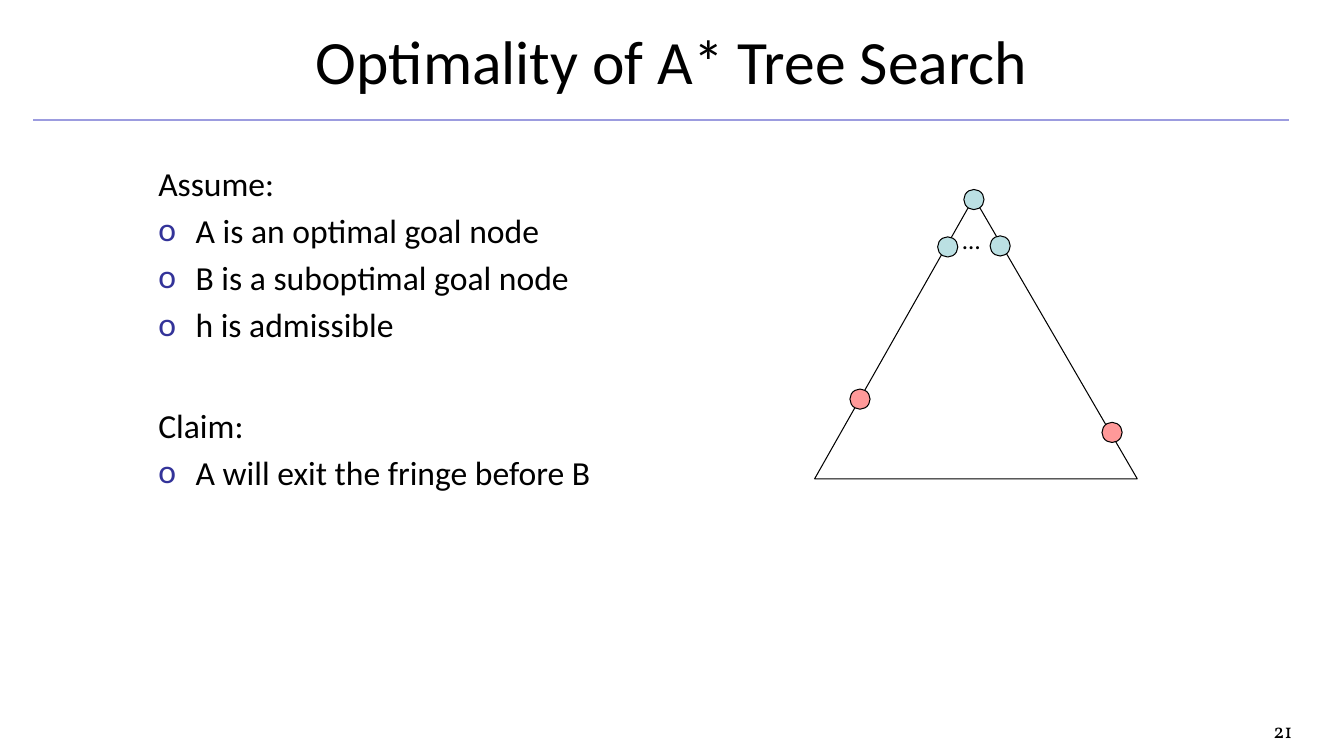
from dataclasses import dataclass

from lxml.etree import SubElement
from pptx import Presentation
from pptx.dml.color import RGBColor
from pptx.enum.shapes import MSO_CONNECTOR, MSO_SHAPE
from pptx.enum.text import MSO_ANCHOR as Anchor, MSO_AUTO_SIZE as AutoSize, PP_ALIGN as Align
from pptx.oxml.ns import qn
from pptx.util import Emu, Pt

EMU_PER_PX = 9144  # 100 px to the inch


@dataclass(frozen=True)
class Theme:
    font: str = "Calibri"
    number_font: str = "Vollkorn"
    ink: str = "000000"
    bullet: str = "333399"
    rule: str = "9C9CDF"
    inner_node: str = "BBE0E3"
    goal_node: str = "FF9999"
    title_size: float = 44
    body_size: float = 24
    dots_size: float = 18
    number_size: float = 14.7
    outline: float = 0.75


@dataclass(frozen=True)
class Box:
    left: int
    top: int
    width: int
    height: int


@dataclass(frozen=True)
class Node:
    left: int
    top: int
    color: str


@dataclass(frozen=True)
class Line:
    text: str
    bulleted: bool = True
    space_before: float = 4.8


THEME = Theme()
NODE_SIZE = 20
HANGING_INDENT = 37
TRIANGLE = ((808, 475), (1128, 475), (966, 196))
NODES = (
    Node(930, 235, THEME.inner_node),
    Node(982, 234, THEME.inner_node),
    Node(1093, 419, THEME.goal_node),
    Node(843, 386, THEME.goal_node),
    Node(956, 188, THEME.inner_node),
)
BODY = (
    Line("Assume:", bulleted=False, space_before=0),
    Line("A is an optimal goal node"),
    Line("B is a suboptimal goal node"),
    Line("h is admissible"),
    Line("Claim:", bulleted=False, space_before=43),
    Line("A will exit the fringe before B"),
)


def px(value: int) -> Emu:
    return Emu(value * EMU_PER_PX)


def rgb(color: str) -> RGBColor:
    return RGBColor.from_string(color)


def place(shape, box: Box) -> None:
    shape.left, shape.top = px(box.left), px(box.top)
    shape.width, shape.height = px(box.width), px(box.height)


def set_frame(frame, side: int = 7, edge: int = 4, anchor=Anchor.TOP) -> None:
    frame.word_wrap = True
    frame.auto_size = AutoSize.NONE
    frame.vertical_anchor = anchor
    frame.margin_left = frame.margin_right = px(side)
    frame.margin_top = frame.margin_bottom = px(edge)


def format_paragraph(paragraph, size: float, font: str = THEME.font, align=Align.LEFT) -> None:
    paragraph.alignment = align
    paragraph.font.name = font
    paragraph.font.size = Pt(size)
    paragraph.font.color.rgb = rgb(THEME.ink)


def add_bullet(paragraph) -> None:
    properties = paragraph._p.get_or_add_pPr()
    properties.set("marL", str(px(HANGING_INDENT)))
    properties.set("indent", str(-px(HANGING_INDENT)))
    color = SubElement(properties, qn("a:buClr"))
    SubElement(color, qn("a:srgbClr"), val=THEME.bullet)
    SubElement(properties, qn("a:buFont"), typeface=THEME.font)
    SubElement(properties, qn("a:buChar"), char="o")


def set_title(slide, text: str) -> None:
    title = slide.shapes.title
    place(title, Box(0, -3, 1333, 125))
    set_frame(title.text_frame, anchor=Anchor.MIDDLE)
    title.text_frame.text = text
    format_paragraph(title.text_frame.paragraphs[0], THEME.title_size, align=Align.CENTER)


def add_rule(slide) -> None:
    rule = slide.shapes.add_connector(MSO_CONNECTOR.STRAIGHT, px(33), px(119), px(1278), px(119))
    rule.line.color.rgb = rgb(THEME.rule)
    rule.line.width = Pt(1)
    SubElement(rule._element.spPr, qn("a:effectLst"))


def add_text_box(slide, box: Box):
    shape = slide.shapes.add_textbox(px(box.left), px(box.top), px(box.width), px(box.height))
    set_frame(shape.text_frame)
    return shape.text_frame


def add_body(slide, lines: tuple[Line, ...]) -> None:
    frame = add_text_box(slide, Box(150, 158, 550, 495))
    for index, line in enumerate(lines):
        paragraph = frame.add_paragraph() if index else frame.paragraphs[0]
        paragraph.text = line.text
        if line.space_before:
            paragraph.space_before = Pt(line.space_before)
        if line.bulleted:
            add_bullet(paragraph)
        format_paragraph(paragraph, THEME.body_size)


def set_outline(shape) -> None:
    shape.shadow.inherit = False
    shape.line.color.rgb = rgb(THEME.ink)
    shape.line.width = Pt(THEME.outline)


def add_triangle(slide) -> None:
    start, *others = TRIANGLE
    builder = slide.shapes.build_freeform(*start, scale=EMU_PER_PX)
    builder.add_line_segments(others, close=True)
    triangle = builder.convert_to_shape()
    triangle.fill.background()
    set_outline(triangle)


def add_node(slide, node: Node) -> None:
    circle = slide.shapes.add_shape(
        MSO_SHAPE.OVAL, px(node.left), px(node.top), px(NODE_SIZE), px(NODE_SIZE))
    circle.fill.solid()
    circle.fill.fore_color.rgb = rgb(node.color)
    set_outline(circle)


def main() -> None:
    presentation = Presentation()
    presentation.slide_width, presentation.slide_height = px(1333), px(750)
    slide = presentation.slides.add_slide(presentation.slide_layouts[5])

    # Heading and text
    add_rule(slide)
    set_title(slide, "Optimality of A* Tree Search")
    add_body(slide, BODY)

    # Search tree
    add_triangle(slide)
    for node in NODES:
        add_node(slide, node)
    dots = add_text_box(slide, Box(945, 218, 30, 40))
    set_frame(dots, side=10, edge=5)
    dots.text = "…"
    format_paragraph(dots.paragraphs[0], THEME.dots_size)

    # Slide number
    number = add_text_box(slide, Box(1056, 708, 233, 32))
    number.text = "21"
    format_paragraph(number.paragraphs[0], THEME.number_size, THEME.number_font, Align.RIGHT)

    presentation.save("out.pptx")


if __name__ == "__main__":
    main()
